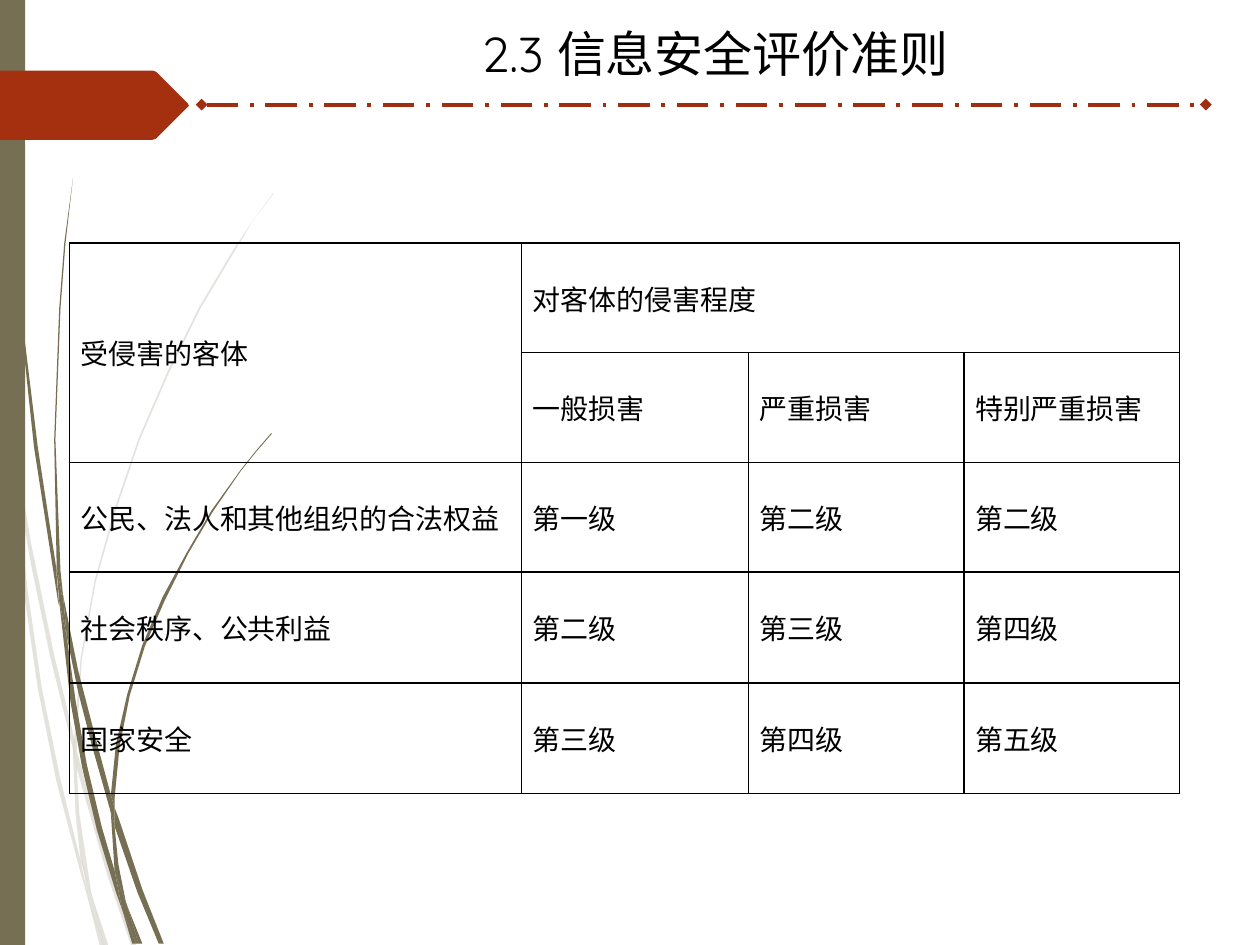
from dataclasses import dataclass

from lxml.etree import SubElement
from pptx import Presentation
from pptx.dml.color import RGBColor
from pptx.enum.dml import MSO_LINE_DASH_STYLE as Dash
from pptx.enum.shapes import MSO_CONNECTOR as Connector
from pptx.enum.shapes import MSO_SHAPE as Shape
from pptx.enum.text import MSO_ANCHOR as Anchor
from pptx.enum.text import MSO_AUTO_SIZE as AutoSize
from pptx.enum.text import PP_ALIGN as Align
from pptx.oxml import parse_xml
from pptx.oxml.ns import nsdecls, qn
from pptx.util import Pt

EMU_PER_PX = 9144  # 100 px to the inch


@dataclass(frozen=True)
class Theme:
    ink: str = "000000"
    olive: str = "766F54"
    rust: str = "A53010"
    rule: str = "9E2E0F"
    latin: str = "Quicksand"
    chinese: str = "Noto Sans CJK SC"
    title_size: int = 28
    cell_size: int = 16
    rule_width: float = 2.25
    border_width: int = 1
    pale_alpha: int = 20


def px(length):
    return int(length * EMU_PER_PX)


def assign(target, formats):
    for name, value in formats.items():
        setattr(target, name, value)


class SlideBuilder:
    def __init__(self, slide, theme):
        self.slide, self.theme = slide, theme

    def add_text(self, frame, text, size, latin, formats, indent=0):
        """Put one styled paragraph into a text frame."""
        assign(frame, formats)
        paragraph = frame.paragraphs[0]
        paragraph._p.get_or_add_pPr().set("marL", str(px(indent)))
        run = paragraph.add_run()
        run.text = text
        assign(run.font, {"size": Pt(size), "name": latin, "bold": False})
        run.font.color.rgb = RGBColor.from_string(self.theme.ink)
        SubElement(run._r.rPr, qn("a:ea"), typeface=self.theme.chinese)
        return paragraph

    def title(self, text, left, top, width, height, indent):
        heading = self.slide.shapes.title
        assign(heading, {"left": px(left), "top": px(top),
                         "width": px(width), "height": px(height)})
        formats = {"word_wrap": True, "auto_size": AutoSize.SHAPE_TO_FIT_TEXT,
                   "vertical_anchor": Anchor.TOP}
        paragraph = self.add_text(heading.text_frame, text, self.theme.title_size,
                                  self.theme.latin, formats, indent)
        paragraph.alignment = Align.CENTER

    def paint(self, shape, color, alpha=None):
        shape.shadow.inherit = False
        shape.fill.solid()
        shape.fill.fore_color.rgb = RGBColor.from_string(color)
        shape.line.fill.background()
        if alpha:
            tint = shape._element.spPr.find(qn("a:solidFill"))[0]
            SubElement(tint, qn("a:alpha"), val=str(alpha * 1000))

    def bar(self, left, top, width, height, color):
        box = map(px, (left, top, width, height))
        self.paint(self.slide.shapes.add_shape(Shape.RECTANGLE, *box), color)

    def outline(self, points, color, alpha=None):
        builder = self.slide.shapes.build_freeform(*points[0], scale=EMU_PER_PX)
        builder.add_line_segments(points[1:], close=True)
        self.paint(builder.convert_to_shape(), color, alpha)

    def rule(self, x1, y1, x2, y2):
        ends = map(px, (x1, y1, x2, y2))
        rule = self.slide.shapes.add_connector(Connector.STRAIGHT, *ends)
        assign(rule.line, {"width": Pt(self.theme.rule_width),
                           "dash_style": Dash.LONG_DASH_DOT})
        rule.line.color.rgb = RGBColor.from_string(self.theme.rule)
        for end in ("a:headEnd", "a:tailEnd"):
            SubElement(rule.line._ln, qn(end), type="diamond")
        SubElement(rule._element.spPr, qn("a:effectLst"))

    def border(self, cell):
        properties = cell._tc.get_or_add_tcPr()
        for position, side in enumerate(("lnL", "lnR", "lnT", "lnB")):
            properties.insert(position, parse_xml(
                f'<a:{side} {nsdecls("a")} w="{Pt(self.theme.border_width)}">'
                f'<a:solidFill><a:srgbClr val="{self.theme.ink}"/></a:solidFill>'
                f'</a:{side}>'))

    def table(self, rows, left, top, widths, heights, merges):
        box = map(px, (left, top, sum(widths), sum(heights)))
        grid = self.slide.shapes.add_table(len(rows), len(widths), *box).table
        assign(grid, {"first_row": False, "horz_banding": False})
        for column, width in zip(grid.columns, widths):
            column.width = px(width)
        for row, height in zip(grid.rows, heights):
            row.height = px(height)
        for first, last in merges:
            grid.cell(*first).merge(grid.cell(*last))
        margins = {"margin_left": px(9), "margin_right": px(9),
                   "margin_top": px(5), "margin_bottom": px(5),
                   "vertical_anchor": Anchor.MIDDLE}
        for r, texts in enumerate(rows):
            for c, text in enumerate(texts):
                cell = grid.cell(r, c)
                assign(cell, margins)
                cell.fill.background()
                self.border(cell)
                if text:
                    self.add_text(cell.text_frame, text, self.theme.cell_size,
                                  self.theme.chinese, {"word_wrap": True})


# Grass blades, each an outline of (x, y) points
PALE_BLADES = [
    [(8, 350), (6, 322), (0, 282), (0, 299), (7, 344)],
    [(40, 522), (59, 599), (59, 586), (43, 520), (25, 433), (10, 345), (12, 376), (25, 450)],
    [(64, 607), (61, 596), (61, 610), (85, 694), (104, 750), (108, 750), (88, 692)],
    [(83, 750), (86, 750), (73, 711)],
    [(64, 683), (48, 619), (33, 545), (22, 469), (12, 376), (8, 350), (19, 470), (30, 546),
     (45, 621), (64, 693), (70, 714), (69, 707)],
    [(58, 599), (60, 646), (64, 683), (67, 692), (73, 711), (72, 706), (63, 646), (61, 610),
     (61, 608)],
    [(61, 584), (65, 523), (76, 462), (92, 405), (111, 349), (134, 296), (159, 245), (187, 198),
     (201, 175), (217, 154), (217, 153), (201, 175), (186, 197), (158, 244), (133, 295),
     (110, 348), (91, 404), (75, 461), (64, 522), (59, 584), (59, 586), (61, 596)],
    [(70, 714), (79, 750), (82, 750)],
    [(61, 608), (61, 610), (61, 596), (59, 586), (58, 599)],
    [(67, 692), (65, 683), (69, 707), (70, 714), (82, 750), (83, 750), (73, 711)],
]
DARK_BLADES = [
    [(5, 110), (14, 233), (27, 355), (46, 477), (47, 481), (45, 457), (45, 453), (30, 355),
     (15, 232), (6, 109), (4, 48), (3, 0), (2, 0), (3, 48)],
    [(73, 592), (88, 645), (88, 631), (77, 590), (62, 532), (50, 472), (53, 505), (62, 549)],
    [(94, 649), (91, 641), (91, 656), (109, 708), (126, 749), (130, 749), (113, 706)],
    [(91, 691), (81, 657), (69, 607), (60, 556), (53, 505), (47, 477), (56, 557), (65, 608),
     (77, 659), (92, 708), (97, 722), (96, 717)],
    [(50, 472), (48, 453), (44, 349), (48, 245), (52, 193), (58, 141), (51, 193), (47, 245),
     (43, 349), (45, 449), (49, 472)],
    [(110, 749), (113, 749), (101, 719)],
    [(47, 477), (53, 505), (50, 472), (49, 472), (45, 449), (45, 453)],
    [(91, 633), (95, 592), (103, 552), (115, 513), (131, 476), (149, 440), (169, 406),
     (191, 374), (203, 359), (216, 344), (215, 344), (203, 358), (191, 373), (168, 405),
     (148, 439), (129, 474), (113, 512), (101, 551), (92, 591), (88, 631), (91, 641)],
    [(97, 722), (105, 749), (108, 749)],
    [(88, 645), (91, 691), (96, 706), (101, 719), (100, 716), (94, 686), (91, 656), (90, 651)],
    [(88, 645), (90, 651), (91, 656), (91, 641), (88, 631)],
    [(96, 706), (91, 691), (96, 717), (97, 722), (108, 749), (110, 749), (101, 719)],
]
ARROW_TAG = [(149, 85), (124, 110), (121, 111), (0, 111), (0, 56), (121, 56), (124, 57),
             (149, 82), (150, 84)]

PROTECTION_LEVELS = [
    ["受侵害的客体", "对客体的侵害程度", "", ""],
    ["", "一般损害", "严重损害", "特别严重损害"],
    ["公民、法人和其他组织的合法权益", "第一级", "第二级", "第二级"],
    ["社会秩序、公共利益", "第二级", "第三级", "第四级"],
    ["国家安全", "第三级", "第四级", "第五级"],
]


def main():
    deck = Presentation()
    assign(deck, {"slide_width": px(1000), "slide_height": px(750)})
    theme = Theme()
    page = SlideBuilder(deck.slides.add_slide(deck.slide_layouts[5]), theme)

    # Side decoration
    for blade in PALE_BLADES:
        page.outline(blade, theme.olive, theme.pale_alpha)
    for blade in DARK_BLADES:
        page.outline(blade, theme.olive)
    page.bar(0, 0, 20, 750, theme.olive)

    # Heading
    page.outline(ARROW_TAG, theme.rust)
    page.rule(160, 83, 957, 83)
    page.title("2.3 信息安全评价准则", 294, 14, 497, 57, indent=50)

    # Levels by object and degree of harm
    page.table(PROTECTION_LEVELS, 55, 193, widths=(359, 180, 171, 171),
               heights=(87, 87, 87, 88, 88),
               merges=[((0, 0), (1, 0)), ((0, 1), (0, 3))])

    deck.save("out.pptx")


if __name__ == "__main__":
    main()
